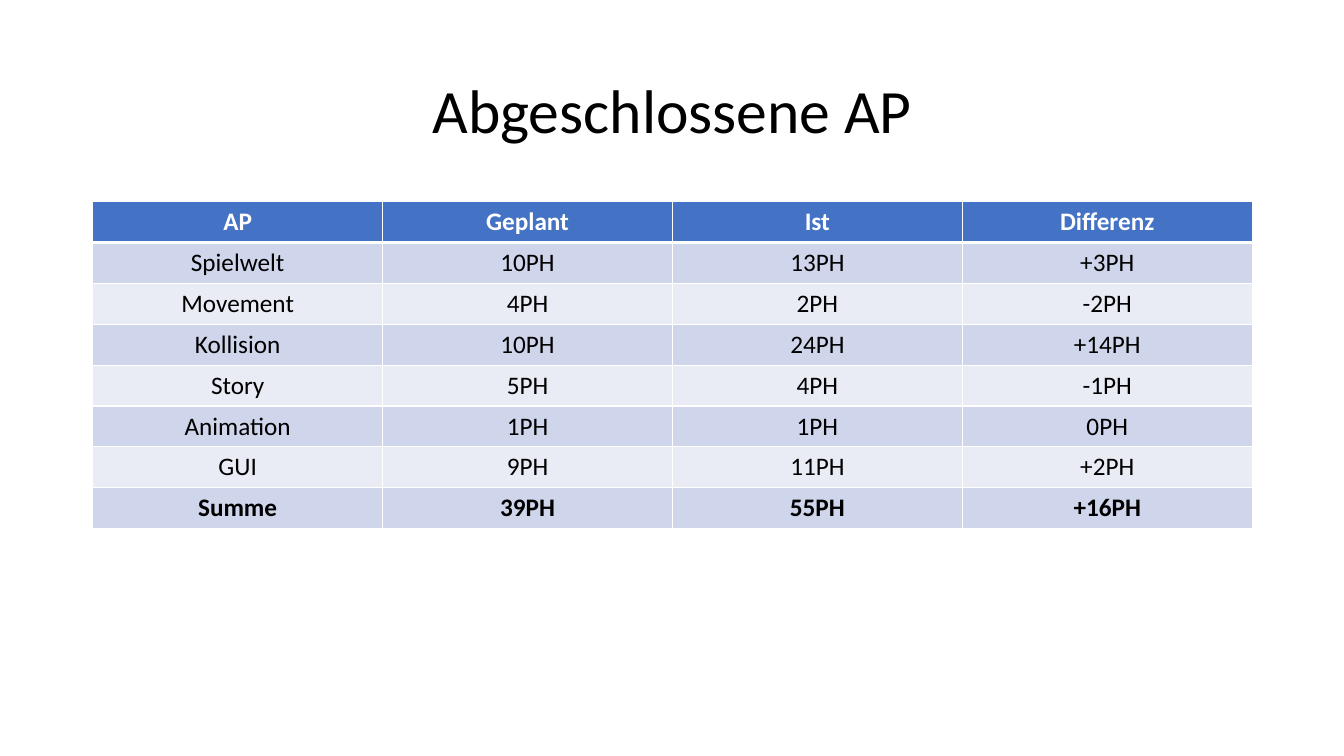
from dataclasses import dataclass

from lxml.etree import SubElement
from pptx import Presentation
from pptx.dml.color import RGBColor as RGB
from pptx.enum.text import MSO_ANCHOR as ANCHOR, PP_ALIGN as ALIGN
from pptx.oxml.ns import qn
from pptx.util import Inches, Pt


@dataclass(frozen=True)
class Theme:
    """Colours, font and type sizes of the slide."""
    font: str = "Calibri"
    title_size: int = 44
    cell_size: int = 18
    text: str = "000000"
    light: str = "FFFFFF"
    header: str = "4472C4"
    bands: tuple = ("CFD5EA", "E9EBF5")
    rule: int = 1
    header_rule: int = 3


THEME = Theme()
TITLE_BOX = (0.92, 0.4, 11.5, 1.45)
TABLE_BOX = (0.92, 2, 11.5, 3.24)
WORK_PACKAGES = [
    ("AP", "Geplant", "Ist", "Differenz"),
    ("Spielwelt", "10PH", "13PH", "+3PH"),
    ("Movement", "4PH", "2PH", "-2PH"),
    ("Kollision", "10PH", "24PH", "+14PH"),
    ("Story", "5PH", "4PH", "-1PH"),
    ("Animation", "1PH", "1PH", "0PH"),
    ("GUI", "9PH", "11PH", "+2PH"),
    ("Summe", "39PH", "55PH", "+16PH"),
]


def add_run(p, text, size, color, bold=False):
    """Add one centred, formatted run to a paragraph."""
    p.alignment = ALIGN.CENTER
    r = p.add_run()
    r.text = text
    r.font.name = THEME.font
    r.font.size = Pt(size)
    r.font.bold = bold
    r.font.color.rgb = RGB.from_string(color)


def set_borders(cell, top, bottom):
    """Give a cell light borders with the given top and bottom widths."""
    tc_pr = cell._tc.get_or_add_tcPr()
    widths = {"L": THEME.rule, "R": THEME.rule, "T": top, "B": bottom}
    for side, width in widths.items():
        ln = SubElement(tc_pr, qn(f"a:ln{side}"), w=str(Pt(width)))
        fill = SubElement(ln, qn("a:solidFill"))
        SubElement(fill, qn("a:srgbClr"), val=THEME.light)


def fill_title(s, box, text):
    """Place and fill the title placeholder."""
    sp = s.shapes.title
    sp.left, sp.top, sp.width, sp.height = map(Inches, box)
    tf = sp.text_frame
    tf.word_wrap = True
    tf.vertical_anchor = ANCHOR.MIDDLE
    p = tf.paragraphs[0]
    p.line_spacing = 0.9
    add_run(p, text, THEME.title_size, THEME.text)


def add_effort_table(s, box, rows):
    """Add the banded table with a header row and a bold total row."""
    left, top, width, height = box
    n_rows, n_cols = len(rows), len(rows[0])
    table = s.shapes.add_table(n_rows, n_cols, *map(Inches, box)).table
    for column in table.columns:
        column.width = Inches(width / n_cols)
    for i, values in enumerate(rows):
        table.rows[i].height = Inches(height / n_rows)
        is_header = i == 0
        fill = THEME.header if is_header else THEME.bands[(i - 1) % 2]
        color = THEME.light if is_header else THEME.text
        bold = i in (0, n_rows - 1)
        upper = THEME.header_rule if i == 1 else THEME.rule
        lower = THEME.header_rule if is_header else THEME.rule
        for j, value in enumerate(values):
            cell = table.cell(i, j)
            set_borders(cell, upper, lower)
            cell.fill.solid()
            cell.fill.fore_color.rgb = RGB.from_string(fill)
            add_run(cell.text_frame.paragraphs[0], value,
                    THEME.cell_size, color, bold)


def main():
    """Build and save the slide."""
    prs = Presentation()
    prs.slide_width, prs.slide_height = Inches(13.33), Inches(7.5)
    s = prs.slides.add_slide(prs.slide_layouts.get_by_name("Title Only"))
    s.background.fill.solid()
    s.background.fill.fore_color.rgb = RGB.from_string(THEME.light)
    fill_title(s, TITLE_BOX, "Abgeschlossene AP")
    add_effort_table(s, TABLE_BOX, WORK_PACKAGES)
    prs.save("out.pptx")


main()
